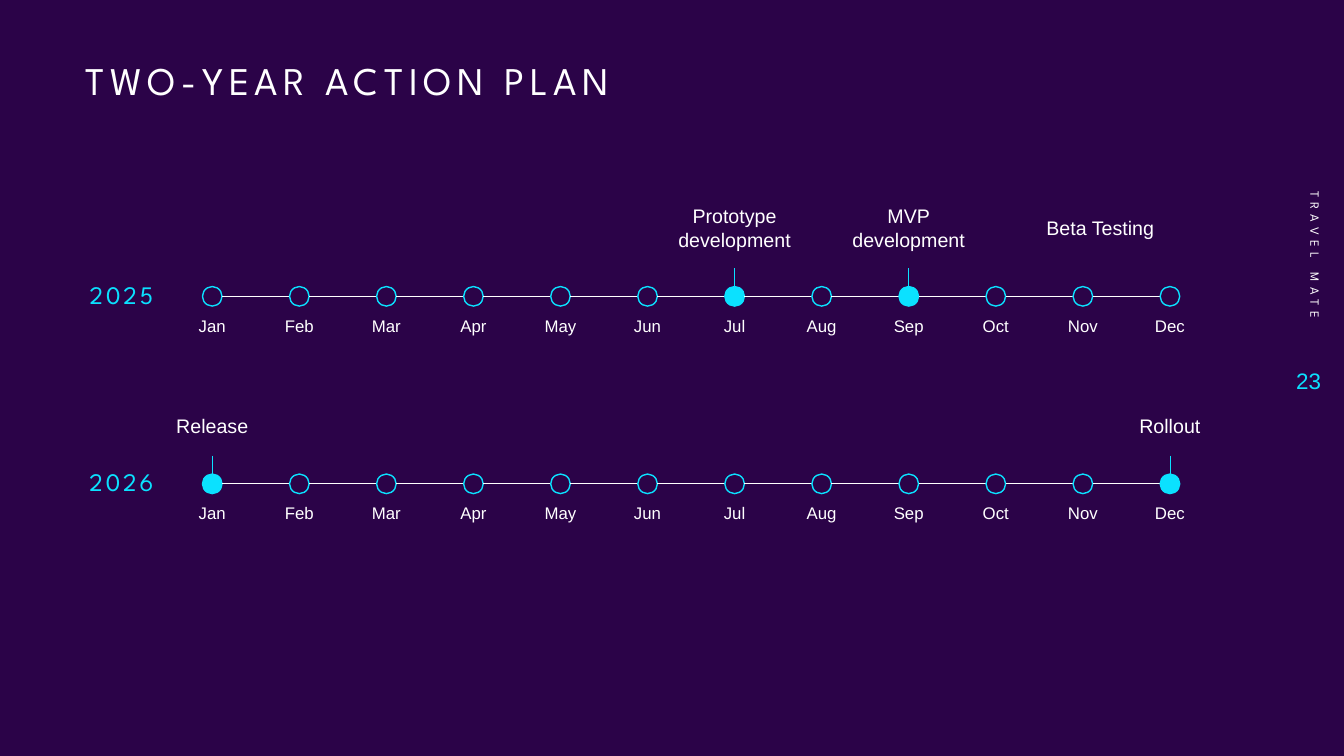
from dataclasses import dataclass

from lxml.etree import SubElement
from pptx import Presentation
from pptx.dml.color import RGBColor
from pptx.enum.shapes import MSO_CONNECTOR, MSO_SHAPE
from pptx.enum.text import MSO_ANCHOR, MSO_AUTO_SIZE, PP_ALIGN
from pptx.oxml.ns import qn
from pptx.util import Inches, Pt


@dataclass(frozen=True)
class Theme:
    """Colours, fonts and type sizes of the slide."""
    background: RGBColor = RGBColor(0x2B, 0x03, 0x48)
    white: RGBColor = RGBColor(0xFF, 0xFF, 0xFF)
    accent: RGBColor = RGBColor(0x0B, 0xE1, 0xFF)
    display: str = "League Spartan"
    body: str = "Arial"
    title_size: int = 28
    year_size: int = 18
    number_size: int = 16
    milestone_size: int = 14
    month_size: int = 12
    wordmark_size: int = 9


@dataclass(frozen=True)
class Milestone:
    """A labelled point, counted in months from January."""
    lines: tuple
    month: float
    marked: bool = True


@dataclass(frozen=True)
class Year:
    """One timeline row with its milestones."""
    name: str
    rail: float
    milestone_top: float
    milestones: tuple


THEME = Theme()
MONTHS = "Jan Feb Mar Apr May Jun Jul Aug Sep Oct Nov Dec".split()
FIRST_MONTH, MONTH_STEP = 2.105, 0.8635
RADIUS = 0.097
YEARS = (
    Year("2025", 2.94, 1.94, (
        Milestone(("Prototype", "development"), 6),
        Milestone(("MVP", "development"), 8),
        Milestone(("Beta Testing",), 10.2, marked=False),
    )),
    Year("2026", 4.8, 3.9, (
        Milestone(("Release",), 0),
        Milestone(("Rollout",), 11),
    )),
)


def month_x(month):
    """Return the horizontal centre of a month."""
    return FIRST_MONTH + month * MONTH_STEP


def write(box, lines, size, color=THEME.white, font=THEME.body, align=PP_ALIGN.CENTER,
          anchor=MSO_ANCHOR.MIDDLE, spacing=1.0, tracking=0):
    """Fill a box with one styled paragraph per line."""
    frame = box.text_frame
    frame.word_wrap = True
    frame.auto_size = MSO_AUTO_SIZE.NONE
    frame.vertical_anchor = anchor
    for index, line in enumerate(lines):
        para = frame.add_paragraph() if index else frame.paragraphs[0]
        para.alignment = align
        para.line_spacing = spacing
        span = para.add_run()
        span.text = line
        span.font.name = font
        span.font.size = Pt(size)
        span.font.color.rgb = color
        if tracking:
            span.font._element.set("spc", str(tracking * 100))


def add_text(page, left, top, width, height, lines, size, **style):
    """Add a text box and return it."""
    box = page.shapes.add_textbox(Inches(left), Inches(top), Inches(width), Inches(height))
    write(box, lines, size, **style)
    return box


def add_line(page, start, end, color):
    """Add a thin straight connector."""
    line = page.shapes.add_connector(
        MSO_CONNECTOR.STRAIGHT, *(Inches(value) for value in (*start, *end)))
    line.line.color.rgb = color
    line.line.width = Pt(0.5)
    SubElement(line._element.spPr, qn("a:effectLst"))


def add_marker(page, x, y, filled):
    """Add a month circle centred on a point."""
    marker = page.shapes.add_shape(MSO_SHAPE.OVAL, Inches(x - RADIUS), Inches(y - RADIUS),
                                   Inches(2 * RADIUS), Inches(2 * RADIUS))
    marker.shadow.inherit = False
    marker.line.color.rgb = THEME.accent
    marker.line.width = Pt(1)
    if filled:
        marker.fill.solid()
        marker.fill.fore_color.rgb = THEME.accent
    else:
        marker.fill.background()


def add_title(page, text):
    """Place and format the title placeholder."""
    title = page.shapes.title
    title.left, title.top = Inches(0.75), Inches(0.56)
    title.width, title.height = Inches(11.5), Inches(0.8)
    write(title, [text], THEME.title_size, font=THEME.display, align=PP_ALIGN.LEFT,
          anchor=MSO_ANCHOR.TOP, spacing=0.9, tracking=4)


def add_year(page, year):
    """Draw one year: name, rail, months and milestones."""
    add_text(page, 0.55, year.rail - 0.28, 1.31, 0.55, [year.name], THEME.year_size,
             color=THEME.accent, font=THEME.display, spacing=0.9, tracking=2)
    marked = {milestone.month for milestone in year.milestones if milestone.marked}
    for index, month in enumerate(MONTHS):
        x = month_x(index)
        if index:
            add_line(page, (month_x(index - 1) + RADIUS, year.rail),
                     (x - RADIUS, year.rail), THEME.white)
        add_marker(page, x, year.rail, index in marked)
        add_text(page, x - 0.27, year.rail + 0.09, 0.54, 0.99, [month], THEME.month_size,
                 anchor=MSO_ANCHOR.TOP, spacing=1.25)
    for milestone in year.milestones:
        x = month_x(milestone.month)
        if milestone.marked:
            add_line(page, (x, year.rail - 0.28), (x, year.rail + 0.09), THEME.accent)
        add_text(page, x - 0.785, year.milestone_top, 1.57, 0.64, milestone.lines,
                 THEME.milestone_size)


def add_side_labels(page):
    """Add the vertical deck name and the page number."""
    wordmark = add_text(page, 11.53, 1.54, 3.03, 0.4, ["TRAVEL MATE"], THEME.wordmark_size,
                        font=THEME.display, align=PP_ALIGN.RIGHT, tracking=4)
    wordmark.rotation = 90
    add_text(page, 12.6, 3.46, 0.6, 0.63, ["23"], THEME.number_size, color=THEME.accent,
             align=PP_ALIGN.RIGHT)


def main():
    """Build the deck and save it."""
    deck = Presentation()
    deck.slide_width, deck.slide_height = Inches(13.33), Inches(7.5)
    page = deck.slides.add_slide(deck.slide_layouts.get_by_name("Title Only"))
    page.background.fill.solid()
    page.background.fill.fore_color.rgb = THEME.background
    add_title(page, "TWO-YEAR ACTION PLAN")
    for year in YEARS:
        add_year(page, year)
    add_side_labels(page)
    deck.save("out.pptx")


if __name__ == "__main__":
    main()
